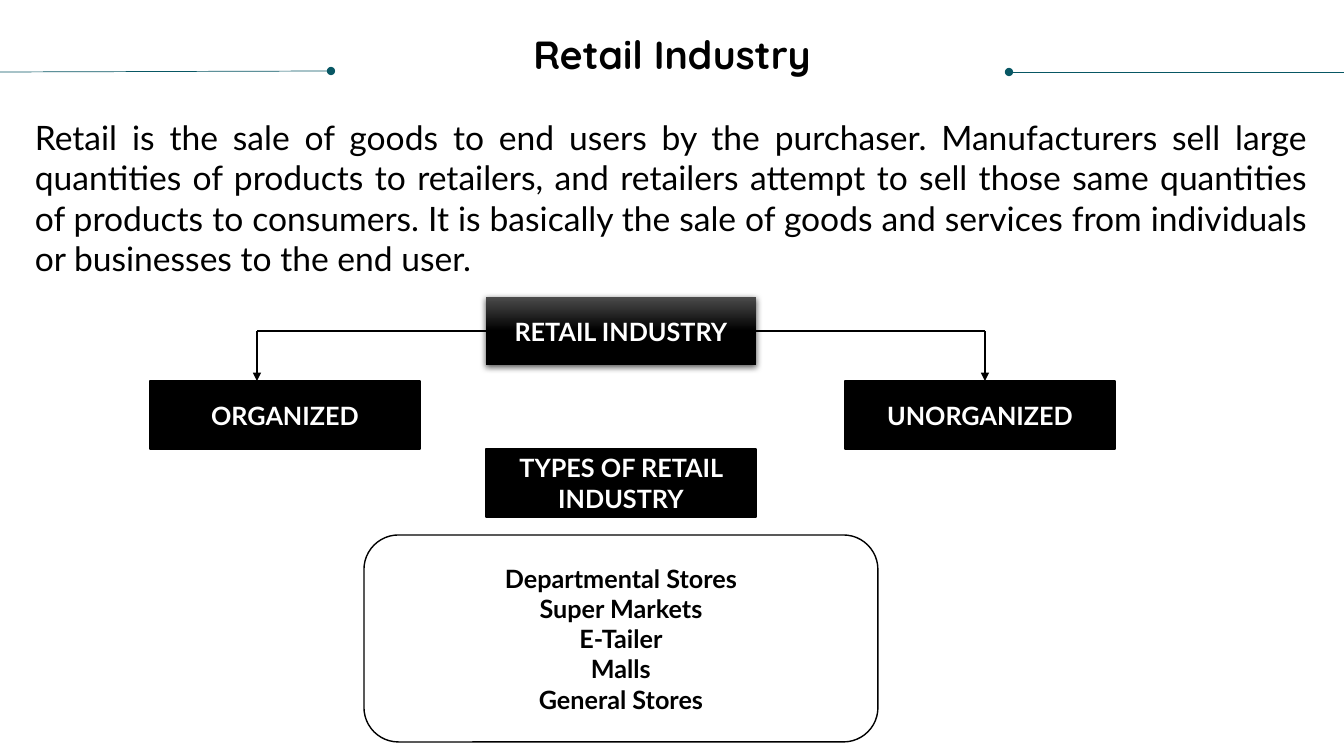
from lxml.etree import SubElement
from pptx import Presentation
from pptx.dml.color import RGBColor
from pptx.enum.shapes import MSO_CONNECTOR, MSO_SHAPE
from pptx.enum.text import MSO_ANCHOR, PP_ALIGN
from pptx.oxml.ns import qn
from pptx.util import Emu, Pt

BLACK, WHITE, TEAL = "000000", "FFFFFF", "085764"


def px(length):
    """Turn whole pixels into EMU."""
    return Emu(round(length * 914400 / 100.8))


def rgb(hex_colour):
    """Turn a hex string into a colour."""
    return RGBColor.from_string(hex_colour)


def apply(target, values):
    """Set each attribute named in a dict."""
    for name, value in values.items():
        setattr(target, name, value)


class RetailSlide:
    """Hold the deck style and the slide being built."""

    heading = {"name": "Quicksand", "size": Pt(28), "bold": True}
    body = {"name": "Lato", "size": Pt(24), "bold": False}
    label = {"name": "Lato", "size": Pt(18), "bold": True}

    def __init__(self, deck):
        """Add a blank slide to the deck."""
        self.slide = deck.slides.add_slide(deck.slide_layouts[6])

    def fill_text(self, frame, lines, font, colour, frame_format, paragraph_format):
        """Fill a text frame with one paragraph per line."""
        apply(frame, {"word_wrap": True, **frame_format})
        frame.text = "\n".join(lines)
        for paragraph in frame.paragraphs:
            apply(paragraph, paragraph_format)
            for run in paragraph.runs:
                apply(run.font, font)
                run.font.color.rgb = rgb(colour)

    def text(self, place, wording, font, frame_format, paragraph_format):
        """Add a text box."""
        passage = self.slide.shapes.add_textbox(*map(px, place))
        self.fill_text(passage.text_frame, [wording], font, BLACK,
                       frame_format, paragraph_format)

    def box(self, place, lines, fill=BLACK, colour=WHITE, preset=MSO_SHAPE.RECTANGLE):
        """Add an outlined box with centred bold text."""
        panel = self.slide.shapes.add_shape(preset, *map(px, place))
        panel.shadow.inherit = False
        panel.fill.solid()
        panel.fill.fore_color.rgb = rgb(fill)
        panel.line.color.rgb = rgb(BLACK)
        panel.line.width = Pt(1)
        self.fill_text(panel.text_frame, lines, self.label, colour,
                       {"vertical_anchor": MSO_ANCHOR.MIDDLE},
                       {"alignment": PP_ALIGN.CENTER})
        return panel

    def raised_box(self, place, lines):
        """Add a box with a gradient and a soft shadow."""
        root = self.box(place, lines)
        root.line.fill.background()
        root.fill.gradient()
        root.fill.gradient_angle = 270
        for stop, position, colour in zip(root.fill.gradient_stops, (0, 0.5), ("4B4B4B", BLACK)):
            stop.position = position
            stop.color.rgb = rgb(colour)
        effects = root._element.spPr.find(qn("a:effectLst"))
        shadow = SubElement(effects, qn("a:outerShdw"), blurRad=str(Pt(4.5)),
                            dist=str(Pt(1.5)), dir="5400000", rotWithShape="0")
        tint = SubElement(shadow, qn("a:srgbClr"), val=BLACK)
        SubElement(tint, qn("a:alpha"), val="63000")

    def line(self, start, end, colour=BLACK, width=1.5, tip=None):
        """Add a straight line, with an optional tip at its end."""
        link = self.slide.shapes.add_connector(
            MSO_CONNECTOR.STRAIGHT, *map(px, (*start, *end)))
        link.line.color.rgb = rgb(colour)
        link.line.width = Pt(width)
        properties = link._element.spPr
        if tip:
            SubElement(properties.find(qn("a:ln")), qn("a:tailEnd"), type=tip)
        SubElement(properties, qn("a:effectLst"))


def main():
    """Build and save the retail slide."""
    deck = Presentation()
    apply(deck, {"slide_width": px(1344), "slide_height": px(756)})
    page = RetailSlide(deck)

    page.line((1344, 72), (1009, 72), TEAL, 0.5, "oval")
    page.line((0, 72), (331, 71), TEAL, 0.5, "oval")
    margins = dict.fromkeys(
        ("margin_left", "margin_top", "margin_right", "margin_bottom"), 0)
    page.text((0, 36, 1344, 42), "Retail Industry", page.heading, margins,
              {"alignment": PP_ALIGN.CENTER, "line_spacing": 0.9})
    page.text(
        (25, 112, 1292, 119),
        "Retail is the sale of goods to end users by the purchaser. "
        "Manufacturers sell large quantities of products to retailers, and "
        "retailers attempt to sell those same quantities of products to "
        "consumers. It is basically the sale of goods and services from "
        "individuals or businesses to the end user.",
        page.body, {}, {"alignment": PP_ALIGN.JUSTIFY, "space_before": Pt(10)})

    width, height, centre, left = 270, 68, 621, 486
    page.raised_box((left, 297, width, height), ["RETAIL INDUSTRY"])
    branches = (("ORGANIZED", 150, left, 257), ("UNORGANIZED", 845, left + width, 985))
    for sector, sector_left, root_edge, drop in branches:
        page.box((sector_left, 381, width, height), [sector])
        page.line((root_edge, 331), (drop, 331))
        page.line((drop, 331), (drop, 381), tip="triangle")

    page.box((left, 449, width, height), ["TYPES OF RETAIL INDUSTRY"])
    list_width = 514
    page.box((centre - list_width // 2, 535, list_width, 207),
             ["Departmental Stores", "Super Markets", "E-Tailer", "Malls", "General Stores"],
             WHITE, BLACK, MSO_SHAPE.ROUNDED_RECTANGLE)
    deck.save("out.pptx")


if __name__ == "__main__":
    main()
